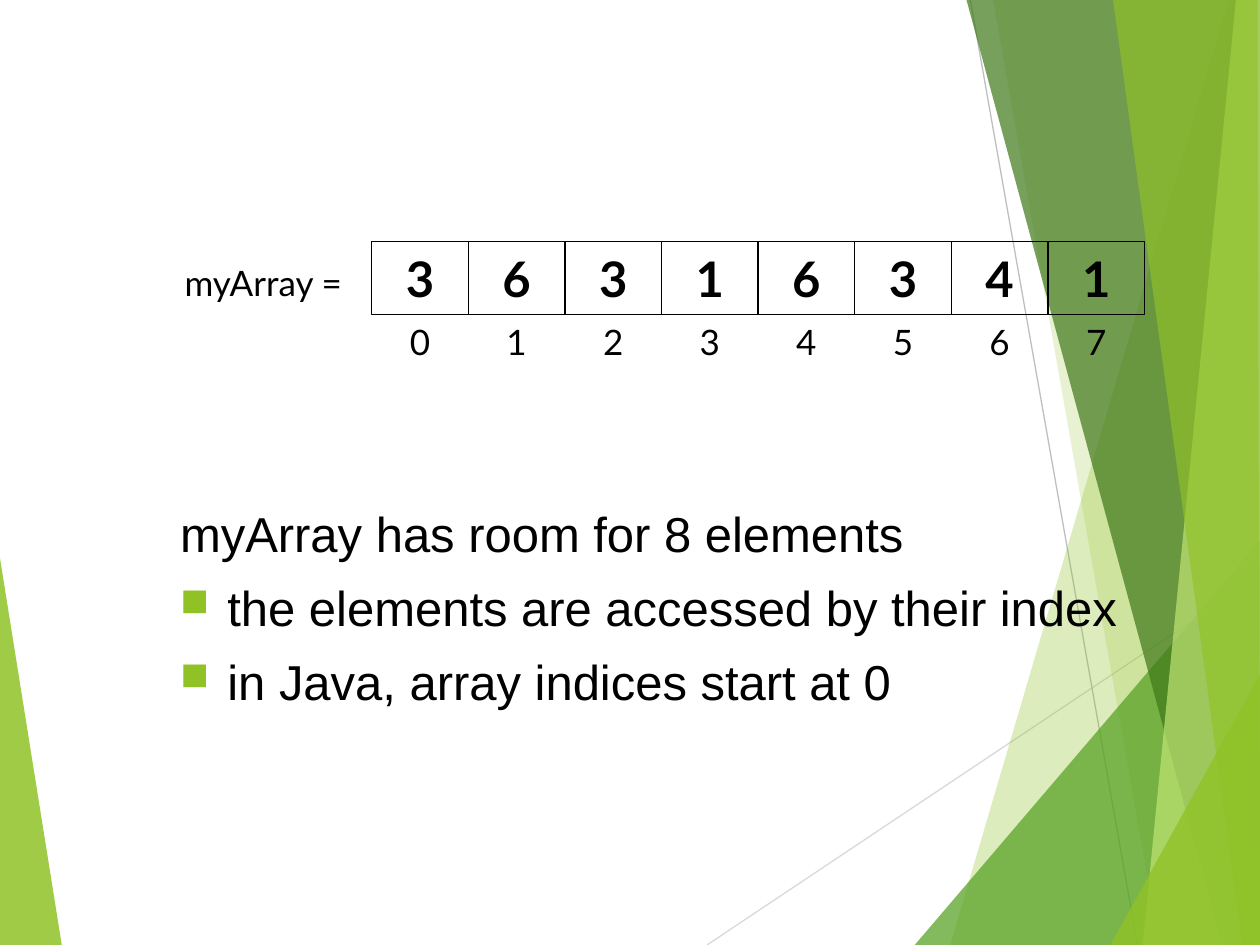
from lxml.etree import SubElement
from pptx import Presentation
from pptx.dml.color import RGBColor
from pptx.enum.shapes import MSO_CONNECTOR as CONN, MSO_SHAPE as SHAPE
from pptx.enum.text import MSO_ANCHOR as ANCHOR, PP_ALIGN as ALIGN
from pptx.oxml.ns import qn
from pptx.util import Pt

W, H = 720, 540
BLACK = RGBColor(0x00, 0x00, 0x00)
LIME = RGBColor(0x90, 0xC2, 0x26)
GREEN = RGBColor(0x54, 0xA0, 0x21)
DARK_GREEN = RGBColor(0x3F, 0x78, 0x19)
PALE_GREEN = RGBColor(0xC0, 0xE4, 0x74)
GRAY = RGBColor(0xBF, 0xBF, 0xBF)
LIGHT_GRAY = RGBColor(0xD9, 0xD9, 0xD9)


class SlideMaker:
    body_font = "Arial"
    array_font = "Lato"
    line_width = 0.75

    def __init__(self, s):
        self.s = s

    def facet(self, points, color, opacity):
        """Translucent polygon of the background."""
        (x, y), *rest = [(Pt(px), Pt(py)) for px, py in points]
        builder = self.s.shapes.build_freeform(x, y)
        builder.add_line_segments(rest, close=True)
        sp = builder.convert_to_shape()
        sp.shadow.inherit = False
        sp.fill.solid()
        sp.fill.fore_color.rgb = color
        sp.line.fill.background()
        clr = sp.fill._xPr.find(qn("a:solidFill"))[0]
        SubElement(clr, qn("a:alpha"), val=str(opacity * 1000))

    def line(self, x1, y1, x2, y2, color):
        c = self.s.shapes.add_connector(CONN.STRAIGHT, Pt(x1), Pt(y1), Pt(x2), Pt(y2))
        c.line.color.rgb = color
        c.line.width = Pt(self.line_width)
        SubElement(c._element.spPr, qn("a:effectLst"))

    def run(self, p, text, size, font, bold=False):
        r = p.add_run()
        r.text = text
        r.font.size, r.font.name, r.font.bold = Pt(size), font, bold
        r.font.color.rgb = BLACK

    def cell(self, x, y, w, h, text):
        """Outlined array element."""
        sp = self.s.shapes.add_shape(SHAPE.RECTANGLE, Pt(x), Pt(y), Pt(w), Pt(h))
        sp.shadow.inherit = False
        sp.fill.background()
        sp.line.color.rgb = BLACK
        sp.line.width = Pt(self.line_width)
        tf = sp.text_frame
        tf.vertical_anchor = ANCHOR.TOP
        p = tf.paragraphs[0]
        p.alignment = ALIGN.CENTER
        self.run(p, text, 28, self.array_font, bold=True)

    def text_box(self, x, y, w, h):
        tf = self.s.shapes.add_textbox(Pt(x), Pt(y), Pt(w), Pt(h)).text_frame
        tf.word_wrap = True
        return tf

    def label(self, x, y, w, h, text, align=ALIGN.LEFT, anchor=ANCHOR.TOP):
        tf = self.text_box(x, y, w, h)
        tf.vertical_anchor = anchor
        p = tf.paragraphs[0]
        p.alignment = align
        self.run(p, text, 20, self.array_font)

    def body(self, x, y, w, h, lead, items):
        """Lead line followed by square-bulleted items."""
        tf = self.text_box(x, y, w, h)
        for i, text in enumerate([lead, *items]):
            p = tf.add_paragraph() if i else tf.paragraphs[0]
            p.space_before = Pt(8.7 if i else 0)
            pPr = p._p.get_or_add_pPr()
            pPr.set("marL", str(Pt(27)))
            pPr.set("indent", str(-Pt(27)))
            if i:
                clr = SubElement(pPr, qn("a:buClr"))
                SubElement(clr, qn("a:srgbClr"), val=str(LIME))
                SubElement(pPr, qn("a:buSzPct"), val="80000")
                SubElement(pPr, qn("a:buChar"), char="■")
            self.run(p, text, 28, self.body_font)


def main():
    prs = Presentation()
    prs.slide_width, prs.slide_height = Pt(W), Pt(H)
    m = SlideMaker(prs.slides.add_slide(prs.slide_layouts[6]))

    # Background facets and thin lines, back to front
    m.facet([(0, 319), (35.3, H), (0, H)], LIME, 85)
    m.line(404, H, W, 329, LIGHT_GRAY)
    m.line(554.5, 0, 650, H, GRAY)
    for points, color, opacity in [
        ([(702, 0), (543, H), (W, H), (W, 0)], LIME, 30),
        ([(567.5, 0), (662.5, H), (W, H), (W, 0)], LIME, 20),
        ([(522.7, H), (W, 309), (W, H)], GREEN, 72),
        ([(552.3, 0), (698.4, H), (W, H), (W, 0)], DARK_GREEN, 70),
        ([(706.3, 0), (653, H), (W, H), (W, 0)], PALE_GREEN, 70),
        ([(636, 0), (710, H), (W, H), (718.6, 0)], LIME, 65),
        ([(634.5, H), (W, 385.5), (W, H)], LIME, 80),
    ]:
        m.facet(points, color, opacity)

    # Explanation
    m.body(95.8, 284, 594, 192, "myArray has room for 8 elements",
           ["the elements are accessed by their index",
            "in Java, array indices start at 0"])

    # Array: name, elements and their indices
    left, top, cell_w, cell_h = 212.4, 138.2, 55.2, 41.4
    m.label(98.4, top + 2.5, 114, cell_h, "myArray =", anchor=ANCHOR.MIDDLE)
    for i, value in enumerate("36316341"):
        x = left + i * cell_w
        m.cell(x, top, cell_w, cell_h, value)
        m.label(x, top + cell_h, cell_w, 31.7, str(i), ALIGN.CENTER)

    prs.save("out.pptx")


if __name__ == "__main__":
    main()
